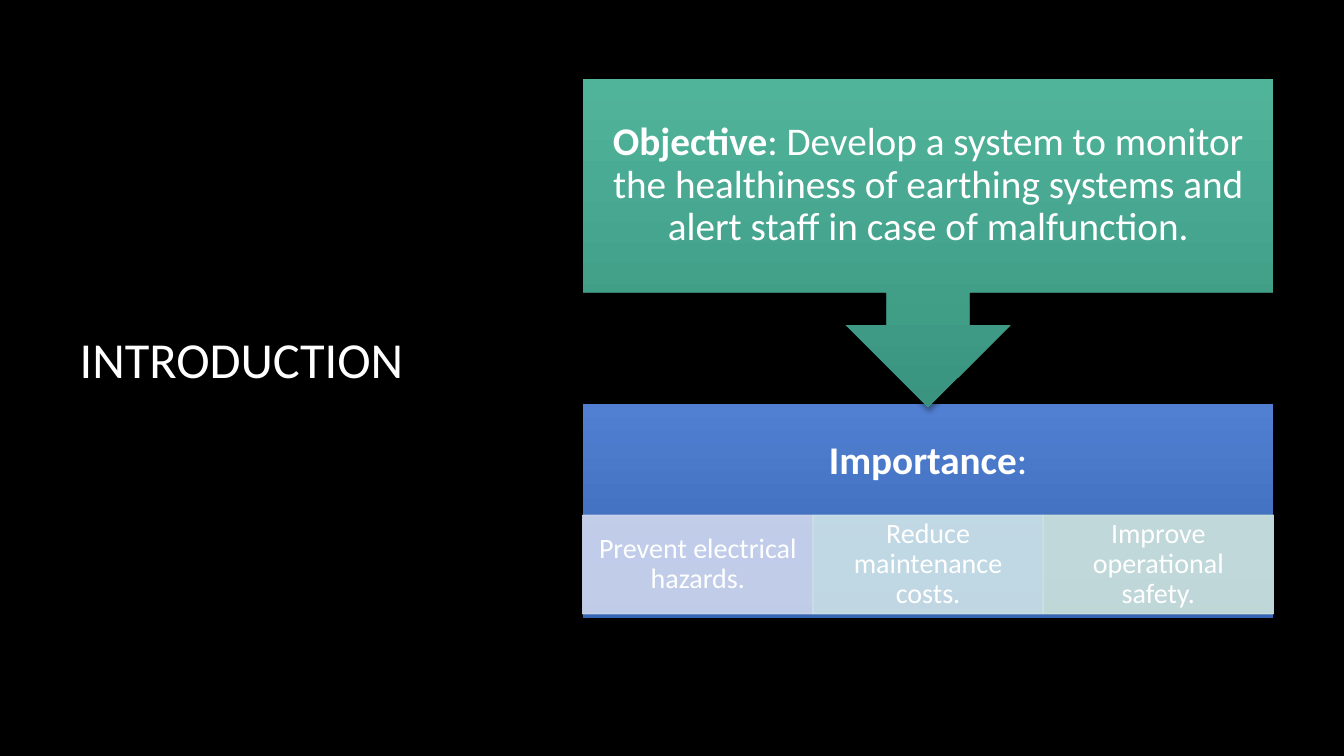
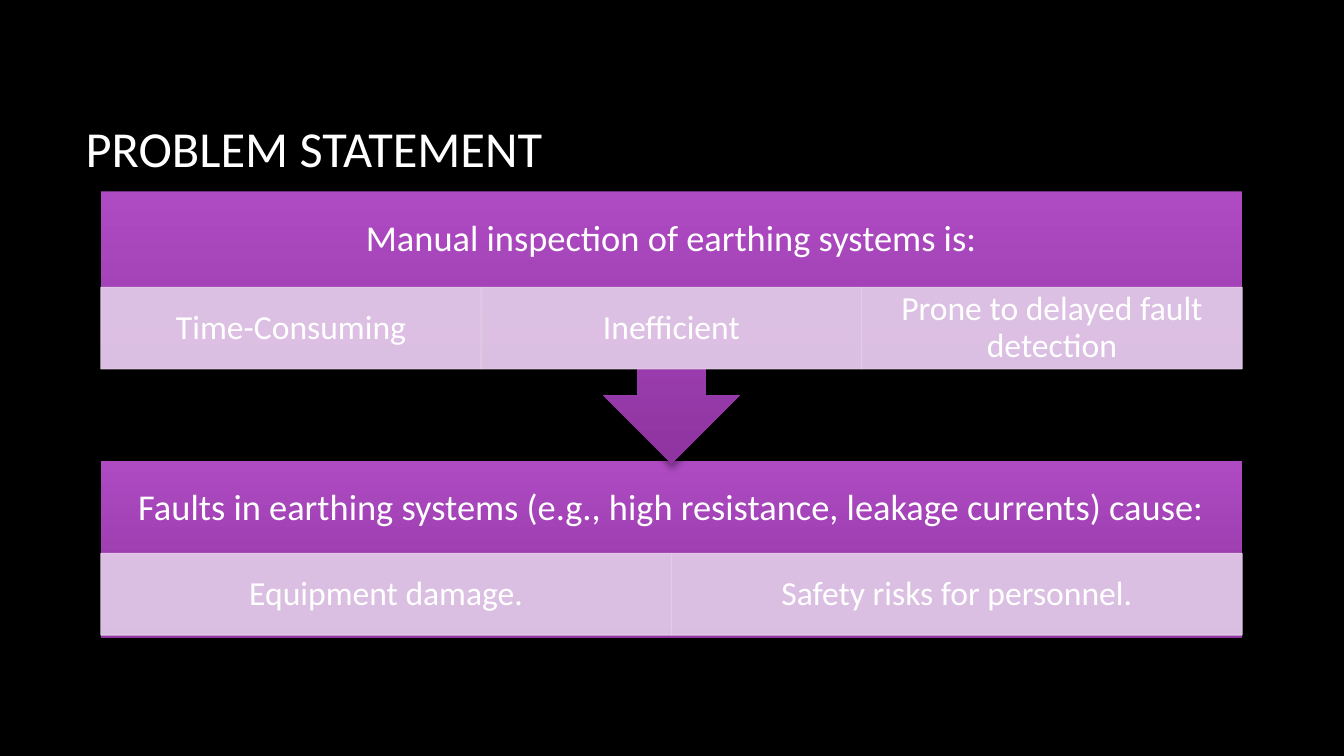
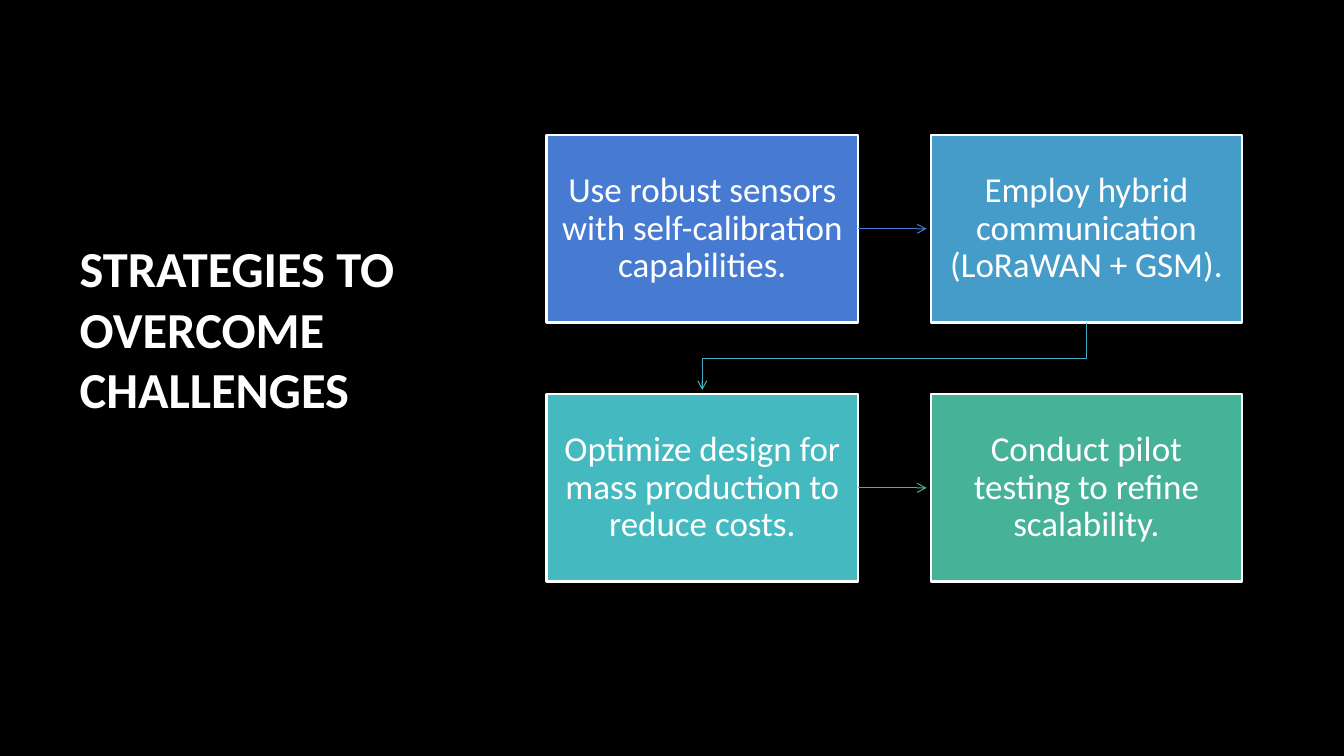
from pptx import Presentation
from pptx.dml.color import RGBColor
from pptx.enum.shapes import MSO_CONNECTOR, MSO_SHAPE
from pptx.enum.text import MSO_ANCHOR, MSO_AUTO_SIZE, PP_ALIGN
from pptx.oxml import parse_xml
from pptx.oxml.ns import nsdecls, qn
from pptx.util import Inches, Pt
from lxml.etree import SubElement

BLACK = RGBColor(0x00, 0x00, 0x00)
WHITE = RGBColor(0xFF, 0xFF, 0xFF)
BLUE = RGBColor(0x47, 0x7B, 0xD1)
SKY = RGBColor(0x45, 0x9C, 0xC8)
CYAN = RGBColor(0x44, 0xAB, 0xC4)
TEAL = RGBColor(0x44, 0xB9, 0xBF)
GREEN = RGBColor(0x46, 0xB2, 0x98)
PALE_BLUE = RGBColor(0xCF, 0xD7, 0xEE)
PALE_SKY = RGBColor(0xCF, 0xE4, 0xE9)
PALE_GREEN = RGBColor(0xCF, 0xE4, 0xDD)
PALE_PLUM = RGBColor(0xE3, 0xCE, 0xE9)
BLUES = (RGBColor(0x51, 0x80, 0xD2), RGBColor(0x36, 0x65, 0xB3))
GREENS = (RGBColor(0x50, 0xB4, 0x9B), RGBColor(0x3A, 0x94, 0x7F))
PLUMS = (RGBColor(0xAE, 0x4A, 0xC2), RGBColor(0x8F, 0x34, 0xA1))

RECT = MSO_SHAPE.RECTANGLE
CALL = MSO_SHAPE.DOWN_ARROW_CALLOUT
BODY = 0.65
SHADE = (
    f'<a:outerShdw {nsdecls("a")} blurRad="{Pt(4)}" dist="{Pt(3)}" dir="5400000" '
    'algn="ctr" rotWithShape="0"><a:srgbClr val="000000"><a:alpha val="35000"/>'
    '</a:srgbClr></a:outerShdw>'
)


def apply(item, form):
    """Set every attribute named in a dict of format values."""
    for name, value in form.items():
        setattr(item, name, value)


class Deck:
    """Hold the shared style and the current slide."""

    font = {"name": "Calibri", "bold": False}
    head = {"alignment": PP_ALIGN.LEFT, "line_spacing": 1.0}
    para = {"alignment": PP_ALIGN.CENTER, "line_spacing": 0.9}
    frame = {"word_wrap": True, "auto_size": MSO_AUTO_SIZE.NONE,
             "vertical_anchor": MSO_ANCHOR.MIDDLE}

    def __init__(self):
        """Open a wide deck on a black ground."""
        self.prs = Presentation()
        apply(self.prs, {"slide_width": Inches(13.33), "slide_height": Inches(7.5)})
        ground = self.prs.slide_master.background.fill
        ground.solid()
        ground.fore_color.rgb = BLACK

    def page(self, text, at, bold=False, low=0.05):
        """Add a slide and place its title."""
        self.slide = self.prs.slides.add_slide(self.prs.slide_layouts[5])
        self.shapes = self.slide.shapes
        title = self.shapes.title
        apply(title, dict(zip(("left", "top", "width", "height"), map(Inches, at))))
        self.label(title, [(text, bold)], 36, (0.1, 0.05, 0.1, low), self.head)

    def label(self, shape, runs, size, pad, para=None):
        """Fill a shape with one paragraph of plain and bold runs."""
        sides = ("margin_left", "margin_top", "margin_right", "margin_bottom")
        frame = shape.text_frame
        apply(frame, self.frame | dict(zip(sides, map(Inches, pad))))
        line = frame.paragraphs[0]
        apply(line, para or self.para)
        for text, bold in runs:
            run = line.add_run()
            run.text = text
            apply(run.font, self.font | {"size": Pt(size), "bold": bold})
            run.font.color.rgb = WHITE

    def shape(self, kind, at):
        """Add a preset shape without a shadow."""
        shape = self.shapes.add_shape(kind, *map(Inches, at))
        shape.shadow.inherit = False
        return shape

    def panel(self, kind, at, tones, runs, size, pad, high):
        """Add a shaded panel whose text keeps to its top part."""
        panel = self.shape(kind, at)
        panel.line.fill.background()
        panel.fill.gradient()
        panel.fill.gradient_angle = 270
        for stop, tone in zip(panel.fill.gradient_stops, tones):
            stop.color.rgb = tone
        panel._element.spPr.find(qn("a:effectLst")).append(parse_xml(SHADE))
        body = at[3] * (BODY if kind == CALL else 1)
        self.label(panel, runs, size, (pad, pad, pad, body - high + pad))

    def box(self, at, fill, edge, wide, text, size, pad):
        """Add a flat box with an outline and text."""
        box = self.shape(RECT, at)
        box.fill.solid()
        box.fill.fore_color.rgb = fill
        box.line.color.rgb = edge
        box.line.width = Pt(wide)
        self.label(box, [(text, False)], size, pad * 2)
        return box

    def cells(self, at, items, size, pad):
        """Split a strip into equal, slightly clear cells."""
        left, top, width, height = at
        step = width / len(items)
        for i, (text, tone) in enumerate(items):
            cell = self.box((left + i * step, top, step, height),
                            tone, tone, 0.75, text, size, (pad, 0.03))
            for color in cell._element.spPr.iter(qn("a:srgbClr")):
                SubElement(color, qn("a:alpha"), val="90000")

    def stroke(self, line, tone):
        """Give a line its colour, width and arrowhead."""
        line.color.rgb = tone
        line.width = Pt(0.75)
        SubElement(line._get_or_add_ln(), qn("a:tailEnd"), type="arrow")

    def arrow(self, box, end, tone):
        """Draw an arrow from the right side of a box."""
        mid = box.top + box.height // 2
        arrow = self.shapes.add_connector(
            MSO_CONNECTOR.STRAIGHT, box.left + box.width, mid, end, mid)
        arrow.begin_connect(box, 3)
        self.stroke(arrow.line, tone)
        SubElement(arrow._element.spPr, qn("a:effectLst"))

    def bend(self, start, end, gap, tone):
        """Draw a bent arrow from under one box to above another."""
        x, y = start.left + start.width // 2, start.top + start.height
        goal = end.left + end.width // 2
        mid = (y + end.top) // 2
        form = self.shapes.build_freeform(x, y)
        form.add_line_segments([(x, mid), (goal, mid), (goal, end.top - gap)], close=False)
        bend = form.convert_to_shape()
        bend.shadow.inherit = False
        bend.fill.background()
        self.stroke(bend.line, tone)


def intro(deck):
    """Build the introduction."""
    deck.page("INTRODUCTION", (0.69, 0.67, 3.73, 5.77))
    left, width = 5.78, 6.85
    deck.panel(RECT, (left, 4.01, width, 2.12), BLUES,
               [("Importance", True), (":", False)], 28, 0.22, 1.15)
    deck.cells((left, 5.11, width, 0.98), [
        ("Prevent electrical hazards.", PALE_BLUE),
        ("Reduce maintenance costs.", PALE_SKY),
        ("Improve operational safety.", PALE_GREEN),
    ], 20, 0.16)
    goal = (": Develop a system to monitor the healthiness of earthing systems "
            "and alert staff in case of malfunction.")
    deck.panel(CALL, (left, 0.78, width, 3.26), GREENS,
               [("Objective", True), (goal, False)], 28, 0.22, 2.12)


def problem(deck):
    """Build the problem statement."""
    deck.page("PROBLEM STATEMENT", (0.75, 0.67, 11.08, 1.59))
    left, width = 1, 11.32
    rows = [
        (RECT, 4.57, 1.76, 5.49,
         "Faults in earthing systems (e.g., high resistance, leakage currents) cause:",
         ["Equipment damage.", "Safety risks for personnel."]),
        (CALL, 1.9, 2.7, 2.85, "Manual inspection of earthing systems is:",
         ["Time-Consuming", "Inefficient", "Prone to delayed fault detection"]),
    ]
    for kind, top, height, strip, text, items in rows:
        deck.panel(kind, (left, top, width, height), PLUMS, [(text, False)], 26, 0.2, 0.95)
        deck.cells((left, strip, width, 0.81),
                   [(item, PALE_PLUM) for item in items], 24, 0.19)


def plan(deck):
    """Build the strategies."""
    deck.page("STRATEGIES TO OVERCOME CHALLENGES", (0.69, 0.67, 3.73, 5.77), True, 0.65)
    steps = [
        ("Use robust sensors with self-calibration capabilities.", BLUE),
        ("Employ hybrid communication (LoRaWAN + GSM).", SKY),
        ("Optimize design for mass production to reduce costs.", TEAL),
        ("Conduct pilot testing to refine scalability.", GREEN),
    ]
    boxes = []
    for i, (text, tone) in enumerate(steps):
        row, col = divmod(i, 2)
        at = (5.42 + col * 3.81, 1.34 + row * 2.57, 3.09, 1.86)
        boxes.append(deck.box(at, tone, WHITE, 1.5, text, 25, (0.15, 0.16)))
    gap = Inches(0.04)
    for i, tone in ((0, BLUE), (2, GREEN)):
        deck.arrow(boxes[i], boxes[i + 1].left - gap, tone)
    deck.bend(boxes[1], boxes[2], gap, CYAN)


def main():
    """Build and save the deck."""
    deck = Deck()
    for build in (intro, problem, plan):
        build(deck)
    deck.prs.save("out.pptx")


if __name__ == "__main__":
    main()
